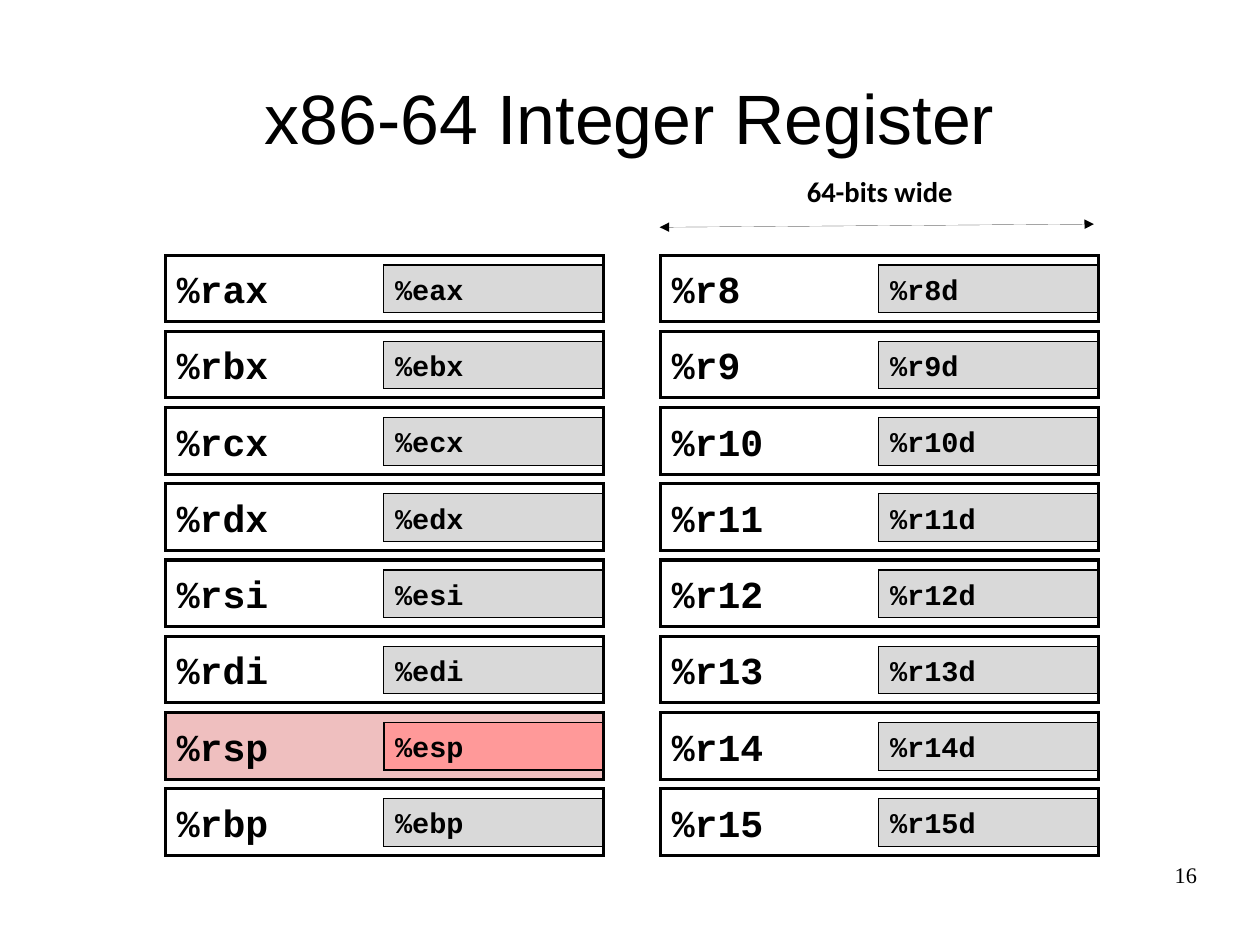
from dataclasses import dataclass

from lxml import etree
from pptx import Presentation
from pptx.dml.color import RGBColor
from pptx.enum.shapes import MSO_CONNECTOR, MSO_SHAPE
from pptx.enum.text import MSO_ANCHOR, MSO_AUTO_SIZE, PP_ALIGN
from pptx.oxml.ns import qn
from pptx.util import Cm, Pt

RECTANGLE = MSO_SHAPE.RECTANGLE
STRAIGHT = MSO_CONNECTOR.STRAIGHT
TOP, MIDDLE = MSO_ANCHOR.TOP, MSO_ANCHOR.MIDDLE
LEFT, CENTER, RIGHT = PP_ALIGN.LEFT, PP_ALIGN.CENTER, PP_ALIGN.RIGHT
GROW, FIXED = MSO_AUTO_SIZE.SHAPE_TO_FIT_TEXT, MSO_AUTO_SIZE.NONE

BLACK, GRAY, PINK, RED = "000000", "D9D9D9", "EFBFBF", "FF9999"
ROW_TOP, LAST_ROW_TOP, ROW_COUNT = 5.67, 17.53, 8
ROW_PITCH = (LAST_ROW_TOP - ROW_TOP) / (ROW_COUNT - 1)
HALF_LEFT, HALF_TOP = 4.85, 0.22
STACK_POINTER = "%rsp"


@dataclass(frozen=True)
class TextStyle:
    font: str
    size: float
    bold: bool = False
    align: PP_ALIGN = LEFT
    anchor: MSO_ANCHOR = TOP
    auto_size: MSO_AUTO_SIZE = FIXED
    wrap: bool = False
    inset_x: float = 0.25
    inset_y: float = 0.13


@dataclass(frozen=True)
class RegisterBank:
    left: float
    names: list[tuple[str, str]]


TITLE = TextStyle("Arial", 44, align=CENTER, anchor=MIDDLE, auto_size=GROW,
                  wrap=True, inset_x=0, inset_y=0)
FULL_NAME = TextStyle("Courier New", 24, bold=True, anchor=MIDDLE)
HALF_NAME = TextStyle("Courier New", 18, bold=True, anchor=MIDDLE)
WIDTH_LABEL = TextStyle("Calibri", 18, bold=True, align=CENTER, auto_size=GROW)
PAGE_NUMBER = TextStyle("Times New Roman", 14, align=RIGHT, wrap=True,
                        inset_x=0, inset_y=0)

BANKS = [
    RegisterBank(3.68, [(f"%r{stem}", f"%e{stem}") for stem in
                        ("ax", "bx", "cx", "dx", "si", "di", "sp", "bp")]),
    RegisterBank(14.68, [(f"%r{number}", f"%r{number}d")
                         for number in range(8, 16)]),
]


def color(value: str) -> RGBColor:
    return RGBColor.from_string(value)


def write(shape, text: str, style: TextStyle) -> None:
    frame = shape.text_frame
    settings = {
        "word_wrap": style.wrap,
        "auto_size": style.auto_size,
        "vertical_anchor": style.anchor,
        "margin_left": Cm(style.inset_x),
        "margin_right": Cm(style.inset_x),
        "margin_top": Cm(style.inset_y),
        "margin_bottom": Cm(style.inset_y),
    }
    for name, value in settings.items():
        setattr(frame, name, value)
    para = frame.paragraphs[0]
    para.alignment = style.align
    span = para.add_run()
    span.text = text
    font_settings = {"name": style.font, "size": Pt(style.size), "bold": style.bold}
    for name, value in font_settings.items():
        setattr(span.font, name, value)
    span.font.color.rgb = color(BLACK)


def add_label(page, text: str, style: TextStyle, left: float, top: float,
              width: float, height: float) -> None:
    box = page.shapes.add_textbox(Cm(left), Cm(top), Cm(width), Cm(height))
    write(box, text, style)


def add_register(page, text: str, style: TextStyle, left: float, top: float,
                 width: float, height: float, fill: str | None,
                 line_width: float) -> None:
    box = page.shapes.add_shape(RECTANGLE, Cm(left), Cm(top), Cm(width), Cm(height))
    box.shadow.inherit = False
    if fill:
        box.fill.solid()
        box.fill.fore_color.rgb = color(fill)
    else:
        box.fill.background()
    box.line.color.rgb = color(BLACK)
    box.line.width = Pt(line_width)
    etree.SubElement(box.line._get_or_add_ln(), qn("a:miter"), lim="800000")
    write(box, text, style)


def add_bank(page, bank: RegisterBank) -> None:
    """Draw one column: the 64-bit registers, then their low 32-bit halves."""
    for row, (full, _) in enumerate(bank.names):
        fill = PINK if full == STACK_POINTER else None
        add_register(page, full, FULL_NAME, bank.left, ROW_TOP + row * ROW_PITCH,
                     9.74, 1.48, fill, 2)
    for row, (full, half) in enumerate(bank.names):
        fill, line_width = (RED, 1) if full == STACK_POINTER else (GRAY, 0.75)
        add_register(page, half, HALF_NAME, bank.left + HALF_LEFT,
                     ROW_TOP + HALF_TOP + row * ROW_PITCH,
                     4.86, 1.06, fill, line_width)


def add_double_arrow(page, start: tuple[float, float], end: tuple[float, float]) -> None:
    """Draw a hairline; its zero width is set in XML, as line.width drops a zero."""
    arrow = page.shapes.add_connector(STRAIGHT, *map(Cm, start + end))
    arrow.line.color.rgb = color(BLACK)
    outline = arrow.line._get_or_add_ln()
    outline.set("w", "0")
    for tag in ("a:headEnd", "a:tailEnd"):
        etree.SubElement(outline, qn(tag), type="triangle")
    etree.SubElement(arrow._element.spPr, qn("a:effectLst"))


def main() -> None:
    deck = Presentation()
    deck.slide_width, deck.slide_height = Cm(28), Cm(21)
    page = deck.slides.add_slide(deck.slide_layouts[5])

    title = page.shapes.title
    place = {"left": 1.4, "top": 0.84, "width": 25.2, "height": 3.51}
    for name, value in place.items():
        setattr(title, name, Cm(value))
    write(title, "x86-64 Integer Register", TITLE)

    for bank in BANKS:
        add_bank(page, bank)
    add_label(page, "64-bits wide", WIDTH_LABEL, 17.45, 3.73, 4.2, 1.02)
    add_double_arrow(page, (14.66, 5.05), (24.31, 4.98))
    add_label(page, "16", PAGE_NUMBER, 20.07, 19.13, 6.53, 1.45)

    deck.save("out.pptx")


if __name__ == "__main__":
    main()
